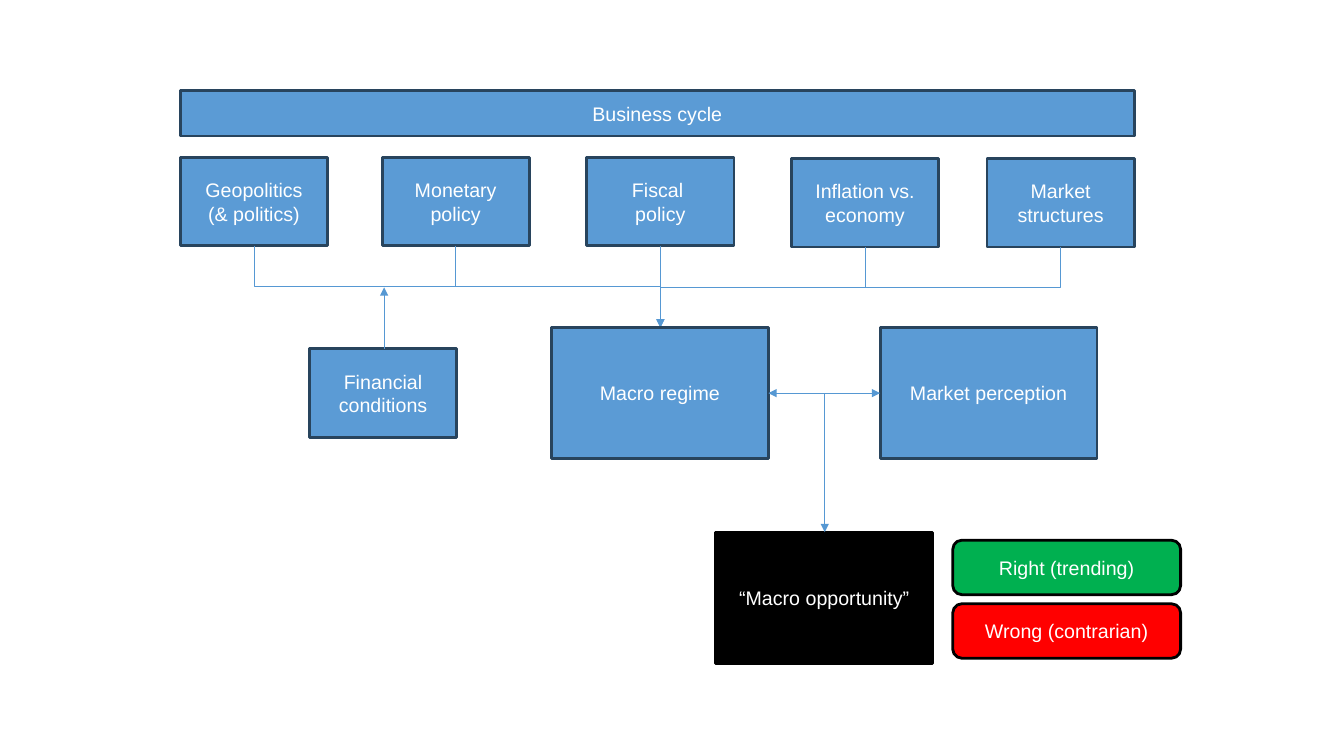
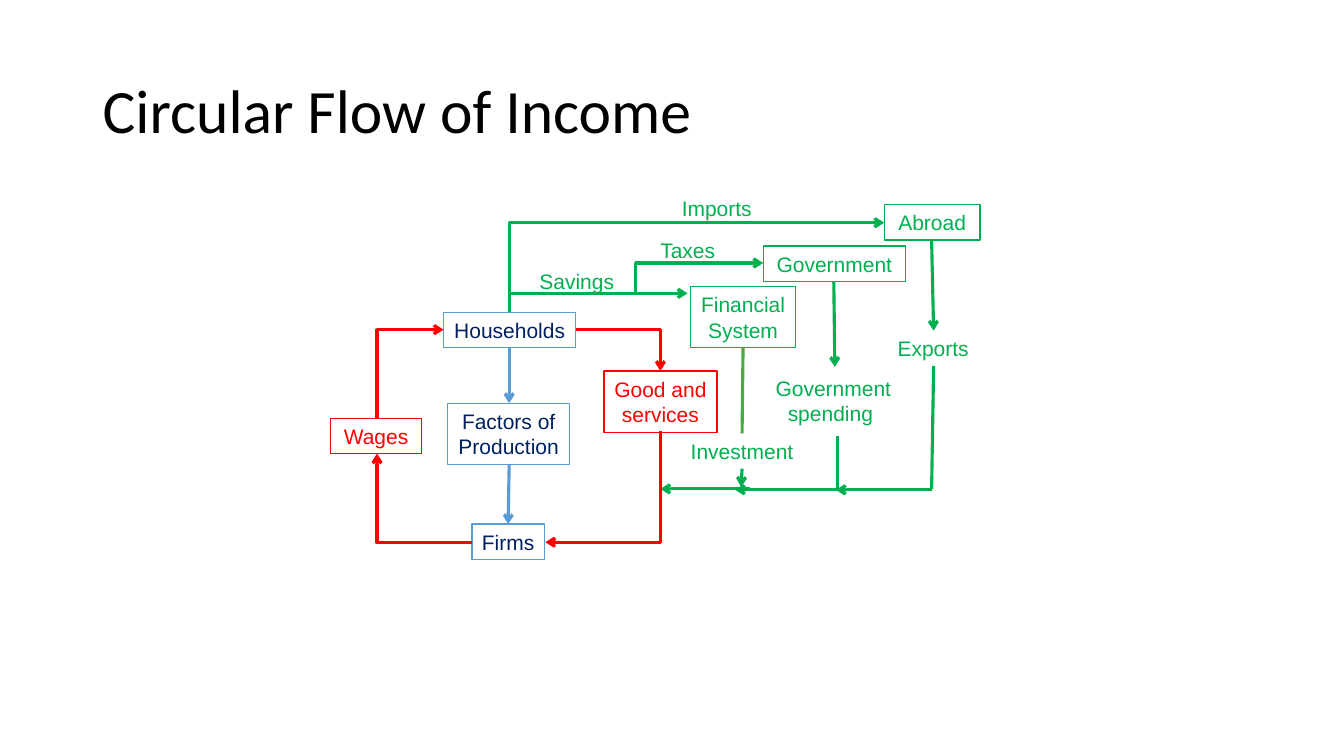
from lxml import etree
from pptx import Presentation
from pptx.dml.color import RGBColor
from pptx.enum.shapes import MSO_CONNECTOR as LINE, MSO_SHAPE as SHAPE
from pptx.enum.text import MSO_ANCHOR as ANCHOR, PP_ALIGN as ALIGN
from pptx.oxml.ns import qn
from pptx.util import Pt

PX = 9144  # EMU in one px, 100 px to the inch

WHITE = RGBColor(0xFF, 0xFF, 0xFF)
BLACK = RGBColor(0x00, 0x00, 0x00)
BLUE = RGBColor(0x5B, 0x9B, 0xD5)
WIRE = RGBColor(0x56, 0x98, 0xD3)
EDGE = RGBColor(0x28, 0x44, 0x5D)
NAVY = RGBColor(0x00, 0x20, 0x60)
RED = RGBColor(0xFF, 0x00, 0x00)
GREEN = RGBColor(0x00, 0xB0, 0x50)
LEAF = RGBColor(0x4A, 0xAA, 0x42)


def px(*values):
    return [round(v * PX) for v in values]


def write(shape, text, size=14, color=WHITE, font="Arial", align=ALIGN.CENTER, spacing=None):
    """Fill a shape with text, one paragraph for each line."""
    tf = shape.text_frame
    tf.word_wrap = True
    tf.vertical_anchor = ANCHOR.MIDDLE
    for i, line in enumerate(text.split("\n")):
        p = tf.paragraphs[0] if i == 0 else tf.add_paragraph()
        p.alignment = align
        if spacing:
            p.line_spacing = spacing
        r = p.add_run()
        r.text = line
        r.font.size, r.font.name = Pt(size), font
        r.font.color.rgb = color


def add_box(s, box, text, fill=BLUE, edge=EDGE, width=2, kind=SHAPE.RECTANGLE, **fmt):
    sp = s.shapes.add_shape(kind, *px(*box))
    sp.shadow.inherit = False
    sp.fill.solid()
    sp.fill.fore_color.rgb = fill
    if edge is None:
        sp.line.fill.background()
    else:
        sp.line.color.rgb = edge
        sp.line.width = Pt(width)
    write(sp, text, **fmt)


def add_line(s, start, end, color=WIRE, width=0.75, head=None, tail=None, kind=LINE.STRAIGHT):
    c = s.shapes.add_connector(kind, *px(*start, *end))
    c.line.color.rgb = color
    c.line.width = Pt(width)
    ln = c.line._get_or_add_ln()
    for tag, arrow in (("a:headEnd", head), ("a:tailEnd", tail)):
        if arrow:
            etree.SubElement(ln, qn(tag)).set("type", arrow)
    etree.SubElement(c._element.spPr, qn("a:effectLst"))
    return c


def add_corner(s, start, end, **fmt):
    """One bend: across from start, then up or down to end."""
    c = add_line(s, start, end, kind=LINE.ELBOW, **fmt)
    c._element.spPr.find(qn("a:prstGeom")).set("prst", "bentConnector2")


def add_drop(s, start, end, **fmt):
    """Two bends: down, across, down. An elbow turned by 90 degrees."""
    (x0, y0), (x1, y1) = start, end
    cx, cy = (x0 + x1) / 2, (y0 + y1) / 2
    dx, dy = (x1 - x0) / 2, (y1 - y0) / 2
    c = add_line(s, (cx - dy, cy + dx), (cx + dy, cy - dx), kind=LINE.ELBOW, **fmt)
    c._element.spPr.find(qn("a:xfrm")).set("rot", "5400000")


def add_title(s, box, text):
    sp = s.shapes.add_textbox(*px(*box))
    write(sp, text, size=44, color=BLACK, font="Calibri", align=ALIGN.LEFT, spacing=0.9)


def macro_slide(s, box):
    left, top, width, height = box

    def at(x, y):
        return left + x, top + y

    # Cycle band and its five drivers
    add_box(s, (left, top, width, 45), "Business cycle")
    drivers = [(0, 66, "Geopolitics\n(& politics)"), (200, 66, "Monetary policy"),
               (403, 66, "Fiscal \npolicy"), (606, 67, "Inflation vs. economy"),
               (800, 67, "Market structures")]
    for x, y, text in drivers:
        add_box(s, (*at(x, y), 146, 88), text)

    # Wires from the drivers to the regime
    for x, y in ((73, 154), (873, 155)):
        add_drop(s, at(x, y), at(476, 235), tail="triangle")
    for x, y, end in ((273, 154, 194), (476, 154, 200), (679, 155, 196)):
        add_line(s, at(x, y), at(x, end))
    add_box(s, (*at(128, 256), 146, 88), "Financial conditions")
    add_line(s, at(202, 256), at(202, 195), tail="triangle")

    # Regime, perception and opportunity
    for x, y, text, colors in (
            (368, 235, "Macro regime", {}),
            (694, 235, "Market perception", {}),
            (531, 438, "“Macro opportunity”", dict(fill=BLACK, edge=BLACK))):
        add_box(s, (*at(x, y), 215, 130), text, **colors)
    add_line(s, at(583, 300), at(694, 300), head="triangle", tail="triangle")
    add_line(s, at(639, 300), at(639, 438), tail="triangle")

    # Outcomes
    for i, (text, fill) in enumerate((("Right (trending)", GREEN), ("Wrong (contrarian)", RED))):
        add_box(s, (*at(766, 446 + 63 * i), 226, 54), text, fill=fill, edge=BLACK,
                kind=SHAPE.ROUNDED_RECTANGLE)


def flow_diagram(s, box):
    left, top, width, height = box

    def at(x, y):
        return left + x, top + y

    # Boxes and labels: place, text, edge and text colour
    parts = [
        (312, 42, 90, 35, "Taxes ", None, GREEN),
        (197, 72, 100, 35, "Savings ", None, GREEN),
        (338, 0, 90, 35, "Imports ", None, GREEN),
        (552, 139, 91, 35, "Exports ", None, GREEN),
        (430, 178, 137, 61, "Government spending ", None, GREEN),
        (346, 241, 124, 35, "Investment ", None, GREEN),
        (112, 121, 131, 35, "Households", BLUE, NAVY),
        (116, 211, 121, 61, "Factors of Production", BLUE, NAVY),
        (140, 331, 72, 35, "Firms", BLUE, NAVY),
        (0, 226, 90, 35, "Wages", RED, RED),
        (271, 179, 112, 61, "Good and services", RED, RED),
        (357, 95, 104, 61, "Financial System", GREEN, GREEN),
        (429, 55, 141, 35, "Government", GREEN, GREEN),
        (549, 14, 95, 35, "Abroad", GREEN, GREEN),
    ]
    for x, y, w, h, text, edge, color in parts:
        add_box(s, (*at(x, y), w, h), text, fill=WHITE, edge=edge, width=1, size=15, color=color)

    # Straight flows
    straight = [
        ((177, 156), (177, 211), BLUE, "arrow"),
        ((177, 272), (176, 331), BLUE, "arrow"),
        ((499, 90), (500, 175), GREEN, "arrow"),
        ((596, 49), (598, 139), GREEN, "arrow"),
        ((598, 174), (596, 296), GREEN, None),
        ((596, 297), (501, 297), GREEN, "arrow"),
        ((416, 296), (327, 296), GREEN, "arrow"),
        ((408, 276), (407, 294), GREEN, "arrow"),
        ((409, 156), (408, 241), LEAF, None),
    ]
    for start, end, color, tail in straight:
        add_line(s, at(*start), at(*end), color=color, width=2.25, tail=tail)

    # Flows with one bend; the arrow sits at the head or the tail
    bent = [
        ((140, 349), (46, 261), RED, "tail"),
        ((112, 138), (46, 226), RED, "head"),
        ((243, 138), (327, 179), RED, "tail"),
        ((213, 349), (327, 239), RED, "head"),
        ((354, 102), (177, 121), GREEN, "head"),
        ((549, 32), (177, 121), GREEN, "head"),
        ((401, 297), (503, 244), GREEN, "head"),
    ]
    for start, end, color, side in bent:
        add_corner(s, at(*start), at(*end), color=color, width=2.25, **{side: "arrow"})

    # Taxes step
    add_line(s, at(176, 102), at(429, 72), color=GREEN, width=2.25, tail="arrow", kind=LINE.ELBOW)


def main():
    prs = Presentation()
    prs.slide_width, prs.slide_height = px(1333, 750)
    blank = prs.slide_layouts[6]

    macro_slide(prs.slides.add_slide(blank), (179, 90, 946, 568))

    s = prs.slides.add_slide(blank)
    add_title(s, (92, 40, 1150, 145), "Circular Flow of Income")
    flow_diagram(s, (328, 189, 644, 366))

    prs.save("out.pptx")


if __name__ == "__main__":
    main()
